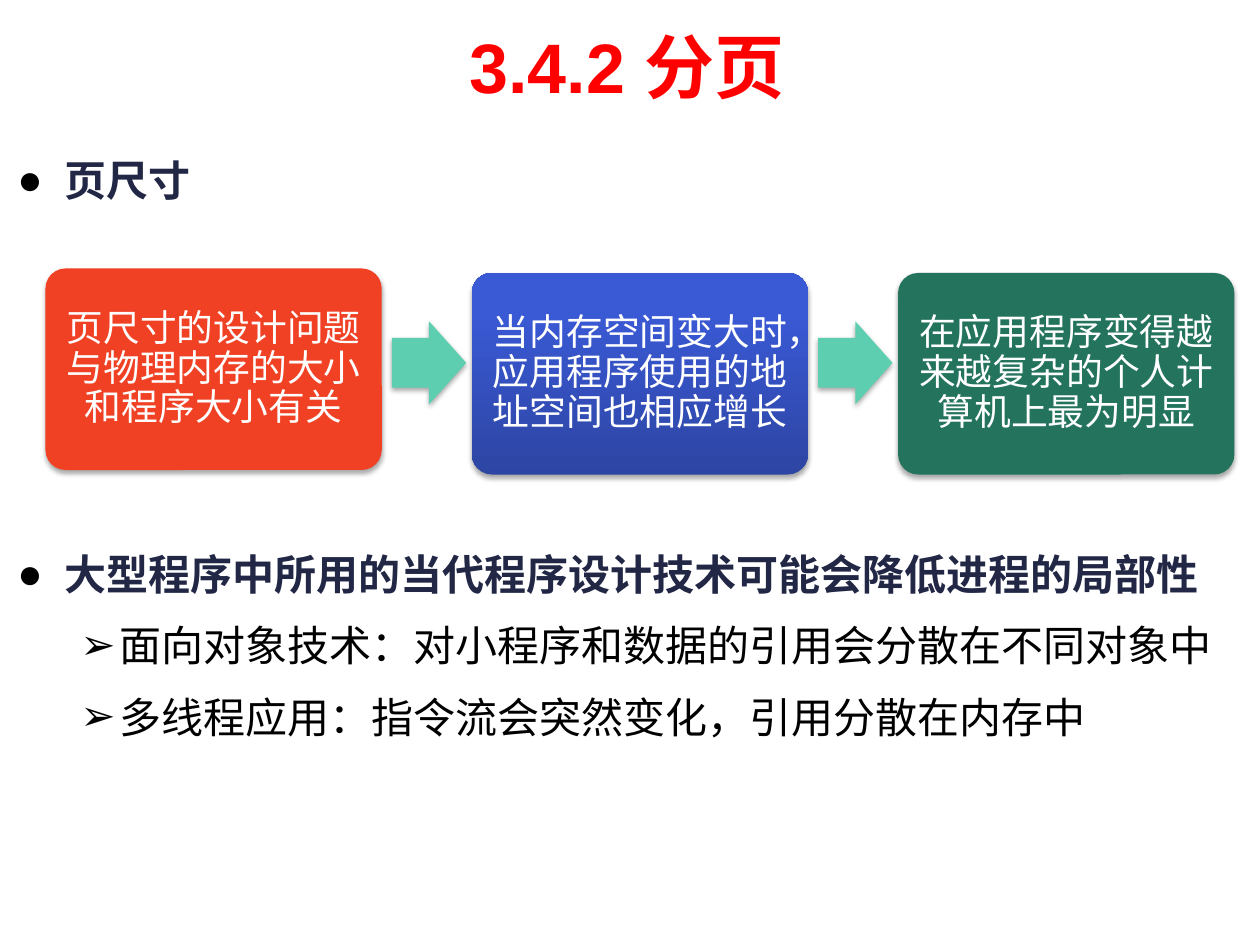
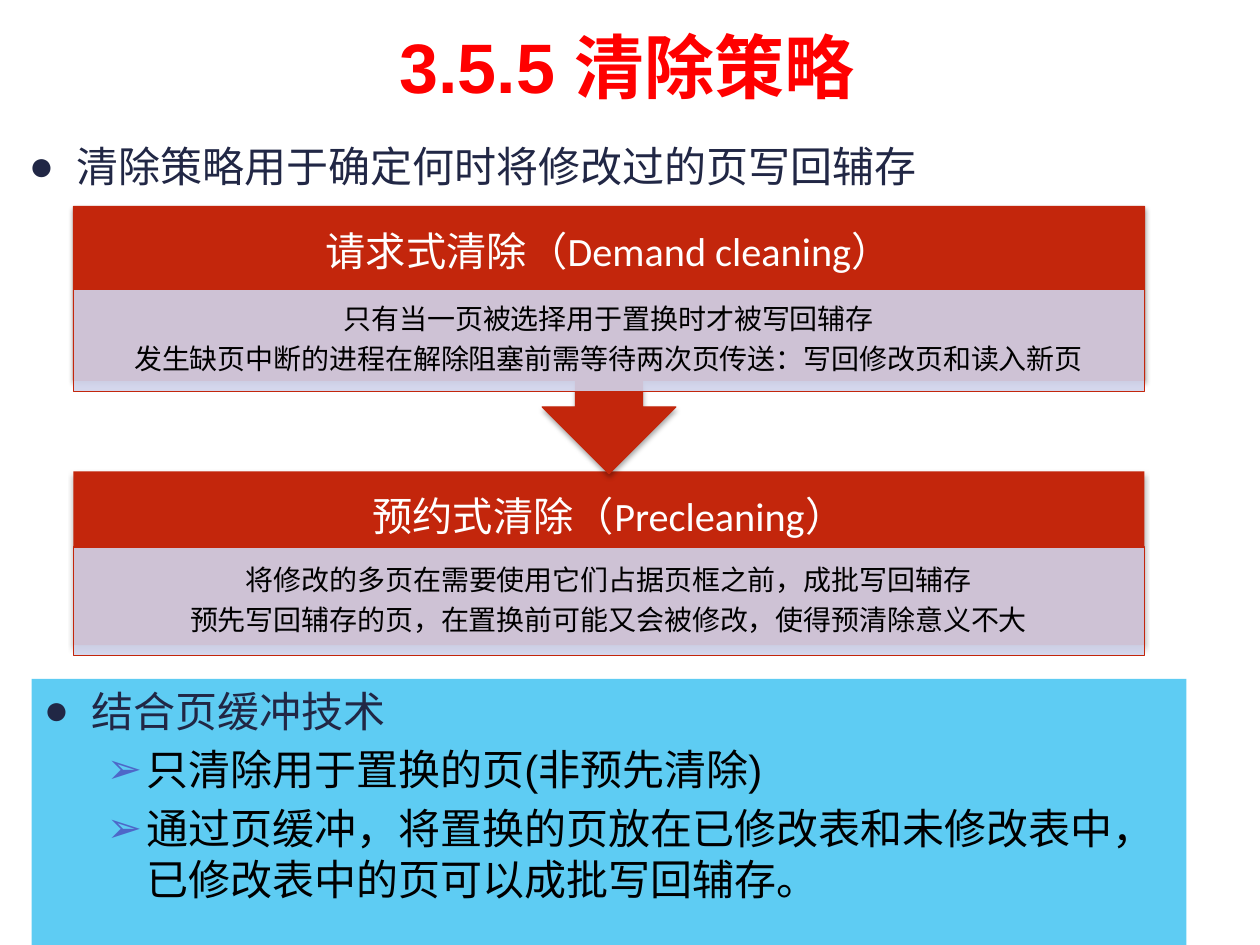
from lxml.etree import SubElement
from pptx import Presentation
from pptx.dml.color import RGBColor
from pptx.enum.shapes import MSO_SHAPE as Kind
from pptx.enum.text import MSO_ANCHOR as Anchor, PP_ALIGN as Align
from pptx.oxml.ns import qn
from pptx.util import Pt

COLORS = {
    "black": "000000", "white": "FFFFFF", "title": "FF0000", "navy": "212745",
    "orange": "F14124", "royal": "3A59D4", "royal_dark": "2D45A3",
    "green": "23735D", "mint": "5DCEAF", "brick": "C3260C",
    "lavender": "D0D3EB", "sky": "5ECCF3", "marker": "4E67C8",
}


def rgb(name):
    return RGBColor.from_string(COLORS[name])


class Painter:
    """Holds the deck's style and the page being filled."""

    def __init__(self):
        self.deck = Presentation()
        self.deck.slide_width, self.deck.slide_height = Pt(720), Pt(540)
        self.page = None

    def new_page(self, title):
        self.page = self.deck.slides.add_slide(self.deck.slide_layouts[6])
        frame = self.text_box(76.3, 10, 563.8, 44.6)
        self.paragraph(frame, title, 40, "title", "Arial", bold=True, align=Align.CENTER)

    def text_box(self, left, top, width, height):
        box = self.page.shapes.add_textbox(Pt(left), Pt(top), Pt(width), Pt(height))
        box.text_frame.word_wrap = True
        return box.text_frame

    def shape(self, kind, left, top, width, height, fill, line=None, shadow=False,
              adjustments=()):
        shape = self.page.shapes.add_shape(kind, Pt(left), Pt(top), Pt(width), Pt(height))
        for index, value in enumerate(adjustments):
            shape.adjustments[index] = value
        shape.fill.solid()
        shape.fill.fore_color.rgb = rgb(fill)
        if line:
            shape.line.color.rgb = rgb(line)
            shape.line.width = Pt(0.75)
        else:
            shape.line.fill.background()
        shape.shadow.inherit = False
        if shadow:
            effects = shape._element.spPr.find(qn("a:effectLst"))
            outer = SubElement(effects, qn("a:outerShdw"), blurRad=str(Pt(3.1)),
                               dist=str(Pt(1.8)), dir="5400000", rotWithShape="0")
            color = SubElement(outer, qn("a:srgbClr"), val=COLORS["black"])
            SubElement(color, qn("a:alpha"), val="35000")
        shape.text_frame.word_wrap = True
        return shape

    def paragraph(self, frame, text, size, color, font="Calibri", bold=False,
                  align=Align.LEFT, spacing=1.0, before=0, after=0, bullet=None):
        """Add a paragraph; bullet is (symbol, colour, indent, hang)."""
        first = not frame.text
        para = frame.paragraphs[0] if first else frame.add_paragraph()
        para.text = text
        para.alignment = align
        para.line_spacing = spacing
        para.space_before = Pt(0 if first else before)
        para.space_after = Pt(after)
        if bullet:
            symbol, marker, indent, hang = bullet
            props = para._p.get_or_add_pPr()
            props.set("marL", str(Pt(indent)))
            props.set("indent", str(Pt(-hang)))
            SubElement(SubElement(props, qn("a:buClr")), qn("a:srgbClr"), val=COLORS[marker])
            SubElement(props, qn("a:buFont"), typeface="Arial")
            SubElement(props, qn("a:buChar"), char=symbol)
        para.font.size = Pt(size)
        para.font.name = font
        para.font.bold = bold
        para.font.color.rgb = rgb(color)

    def topic(self, frame, text, marker="navy", **style):
        self.paragraph(frame, text, 24, "navy", bullet=("●", marker, 27, 27), **style)

    def detail(self, frame, text, marker, spacing=1.0):
        self.paragraph(frame, text, 24, "black", "Arial", spacing=spacing, before=4.8,
                       bullet=("➢", marker, 58.5, 22.5))

    def centred(self, frame, lines, size, color, side, edge):
        """Fill a frame with middle-anchored lines inside the given margins."""
        frame.vertical_anchor = Anchor.MIDDLE
        frame.margin_left = frame.margin_right = Pt(side)
        frame.margin_top = frame.margin_bottom = Pt(edge)
        for line in lines:
            self.paragraph(frame, line, size, color, align=Align.CENTER,
                           spacing=0.9, after=size * 0.35)

    def step(self, left, top, fill, text):
        card = self.shape(Kind.ROUNDED_RECTANGLE, left, top, 192.2, 115.2, fill,
                          shadow=True, adjustments=[0.1])
        self.centred(card.text_frame, [text], 21, "white", 6.5, 6.5)
        return card

    def strategy_text(self, top, heading, band_top, band_height, lines):
        """Write a heading and a translucent band of lines over a strategy block."""
        self.centred(self.text_box(42, top, 612, 53.5), [heading], 23, "white", 13, 13)
        band = self.shape(Kind.RECTANGLE, 42, band_top, 612, band_height, "lavender", "brick")
        color = band._element.spPr.find(qn("a:solidFill"))[0]
        SubElement(color, qn("a:alpha"), val="90000")
        self.centred(band.text_frame, lines, 16, "black", 8.6, 1.4)


def paging_page(painter):
    painter.new_page("3.4.2 分页")
    style = dict(marker="black", bold=True, spacing=1.1)
    painter.topic(painter.text_box(2.9, 82, 717, 40), "页尺寸", **style)

    frame = painter.text_box(2.9, 307, 717, 130)
    painter.topic(frame, "大型程序中所用的当代程序设计技术可能会降低进程的局部性", **style)
    for text in ("面向对象技术：对小程序和数据的引用会分散在不同对象中",
                 "多线程应用：指令流会突然变化，引用分散在内存中"):
        painter.detail(frame, text, "black", spacing=1.25)

    left, pitch = 26, 243.6
    steps = [
        (153.4, "orange", "页尺寸的设计问题与物理内存的大小和程序大小有关"),
        (156, "royal", "当内存空间变大时，应用程序使用的地址空间也相应增长"),
        (156, "green", "在应用程序变得越来越复杂的个人计算机上最为明显"),
    ]
    for index, (top, fill, text) in enumerate(steps):
        card = painter.step(left + index * pitch, top, fill, text)
        if fill == "royal":
            card.fill.gradient()
            card.fill.gradient_angle = 90
            for stop, color, position in zip(card.fill.gradient_stops,
                                             ("royal_dark", "royal"), (0, 0.8)):
                stop.color.rgb = rgb(color)
                stop.position = position
        if index:
            painter.shape(Kind.RIGHT_ARROW, left + index * pitch - 45.7, 183.6, 42.5, 47.5,
                          "mint", shadow=True, adjustments=[0.6, 0.5])


def cleaning_page(painter):
    painter.new_page("3.5.5 清除策略")
    painter.topic(painter.text_box(9.4, 77, 660, 40),
                  "清除策略用于确定何时将修改过的页写回辅存", font="Arial")

    painter.shape(Kind.RECTANGLE, 42, 269.3, 612, 99.4, "brick", shadow=True)
    painter.strategy_text(269.3, "预约式清除（Precleaning）", 312.5, 62, [
        "将修改的多页在需要使用它们占据页框之前，成批写回辅存",
        "预先写回辅存的页，在置换前可能又会被修改，使得预清除意义不大"])

    callout = painter.shape(Kind.UP_ARROW_CALLOUT, 42, 118, 612, 152.7, "brick", "brick",
                            shadow=True)
    callout.rotation = 180
    painter.strategy_text(118, "请求式清除（Demand cleaning）", 165.6, 58, [
        "只有当一页被选择用于置换时才被写回辅存",
        "发生缺页中断的进程在解除阻塞前需等待两次页传送：写回修改页和读入新页"])

    panel = painter.shape(Kind.RECTANGLE, 18, 388, 660, 152, "sky")
    frame = panel.text_frame
    frame.vertical_anchor = Anchor.TOP
    painter.topic(frame, "结合页缓冲技术")
    for text in ("只清除用于置换的页(非预先清除)",
                 "通过页缓冲，将置换的页放在已修改表和未修改表中，"
                 "已修改表中的页可以成批写回辅存。"):
        painter.detail(frame, text, "marker")


def main():
    painter = Painter()
    paging_page(painter)
    cleaning_page(painter)
    painter.deck.save("out.pptx")


if __name__ == "__main__":
    main()
